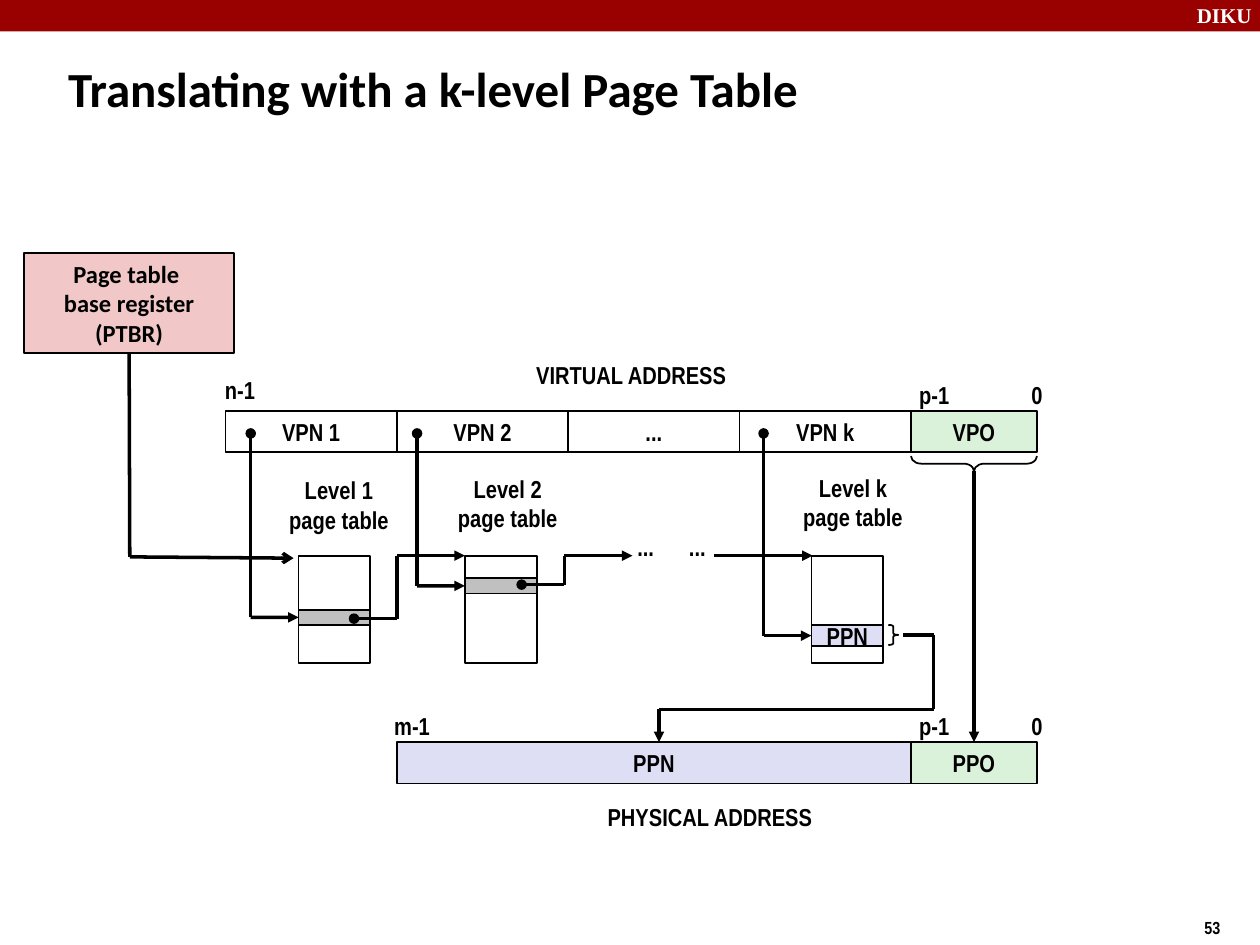
from lxml.etree import SubElement
from pptx import Presentation
from pptx.dml.color import RGBColor
from pptx.enum.shapes import MSO_CONNECTOR, MSO_SHAPE
from pptx.enum.text import MSO_ANCHOR, PP_ALIGN
from pptx.oxml.ns import qn
from pptx.util import Inches, Pt

BLACK = RGBColor(0x00, 0x00, 0x00)
WHITE = RGBColor(0xFF, 0xFF, 0xFF)
RED = RGBColor(0x99, 0x00, 0x00)
PINK = RGBColor(0xF1, 0xC7, 0xC7)
GREEN = RGBColor(0xDB, 0xF2, 0xDA)
LILAC = RGBColor(0xDE, 0xDF, 0xF5)
GRAY = RGBColor(0xC0, 0xC0, 0xC0)

NARROW = {"name": "Arial Narrow", "size": Pt(14), "bold": True}
SMALL = {**NARROW, "size": Pt(10)}
REGISTER = {**NARROW, "name": "Calibri"}
TITLE = {"name": "Calibri", "size": Pt(28), "bold": True}
BRAND = {"name": "Times New Roman", "size": Pt(12), "bold": True}

FIELD_WIDTH, FIELD_HEIGHT, OFFSET_LEFT = 1.36, 0.33, 7.23
VIRTUAL_TOP, PHYSICAL_TOP = 3.26, 5.89
TABLE_TOP, TABLE_WIDTH, TABLE_HEIGHT = 4.41, 0.57, 0.85


def write_text(shape, text, style, color=BLACK, align=PP_ALIGN.CENTER, wrap=False,
               anchor=MSO_ANCHOR.MIDDLE):
    """Fill a shape with text in one style."""
    frame = shape.text_frame
    frame.text = text
    frame.word_wrap = wrap
    frame.vertical_anchor = anchor
    for para in frame.paragraphs:
        para.alignment = align
        for span in para.runs:
            for key, value in style.items():
                setattr(span.font, key, value)
            span.font.color.rgb = color


def add_label(page, area, text, style=NARROW, **options):
    """Add a text box."""
    box = page.shapes.add_textbox(*map(Inches, area))
    write_text(box, text, style, **options)


def add_box(page, area, fill=None, text="", style=NARROW, kind=MSO_SHAPE.RECTANGLE,
            line=BLACK, **options):
    """Add an outlined preset shape, optionally filled and labelled."""
    box = page.shapes.add_shape(kind, *map(Inches, area))
    box.shadow.inherit = False
    if fill is None:
        box.fill.background()
    else:
        box.fill.solid()
        box.fill.fore_color.rgb = fill
    if line is None:
        box.line.fill.background()
    else:
        box.line.color.rgb = line
        box.line.width = Pt(1)
    if text:
        write_text(box, text, style, **options)
    return box


def add_brace(page, area, adjustments, rotation=0):
    """Add a right brace."""
    brace = add_box(page, area, kind=MSO_SHAPE.RIGHT_BRACE)
    brace.rotation = rotation
    for index, value in enumerate(adjustments):
        brace.adjustments[index] = value


def add_route(page, points, head=None, tail=None, source=None, target=None):
    """Draw a chain of straight connectors through the points."""
    legs = list(zip(points, points[1:]))
    for index, (start, end) in enumerate(legs):
        first, last = index == 0, index == len(legs) - 1
        leg = page.shapes.add_connector(MSO_CONNECTOR.STRAIGHT, *map(Inches, start + end))
        leg.line.color.rgb = BLACK
        leg.line.width = Pt(2)
        if first and source:
            leg.begin_connect(*source)
        if last and target:
            leg.end_connect(*target)
        properties = leg.element.spPr
        outline = properties.find(qn("a:ln"))
        if first and head:
            SubElement(outline, qn("a:headEnd"), type=head)
        if last and tail:
            SubElement(outline, qn("a:tailEnd"), type=tail)
        SubElement(properties, qn("a:effectLst"))


def add_header(page):
    """Add the banner, title and page number."""
    add_box(page, (0, 0, 10, 0.25), RED, line=None)
    add_label(page, (9.4, -0.03, 0.67, 0.3), "DIKU", BRAND, color=WHITE,
              align=PP_ALIGN.LEFT, wrap=True, anchor=MSO_ANCHOR.TOP)
    add_label(page, (9.46, 7.23, 0.75, 0.27), "53", SMALL,
              align=PP_ALIGN.LEFT, anchor=MSO_ANCHOR.TOP)
    title = page.shapes.title
    area = {"left": 0.44, "top": 0.27, "width": 9.06, "height": 0.86}
    for key, value in area.items():
        setattr(title, key, Inches(value))
    write_text(title, "Translating with a k-level Page Table", TITLE,
               align=PP_ALIGN.LEFT, wrap=True)


def add_addresses(page):
    """Add the virtual and physical address bars and return the PPO field."""
    for index, name in enumerate(("VPN 1", "VPN 2", "...", "VPN k")):
        left = OFFSET_LEFT - (4 - index) * FIELD_WIDTH
        add_box(page, (left, VIRTUAL_TOP, FIELD_WIDTH, FIELD_HEIGHT), text=name)
    add_box(page, (3.15, PHYSICAL_TOP, 4.08, FIELD_HEIGHT), LILAC, "PPN")
    for top, name in ((VIRTUAL_TOP, "VPO"), (PHYSICAL_TOP, "PPO")):
        field = add_box(page, (OFFSET_LEFT, top, 1, FIELD_HEIGHT), GREEN, name)
        add_label(page, (7.18, top - 0.31, 0.47, 0.36), "p-1")
        add_label(page, (8.08, top - 0.31, 0.3, 0.36), "0")
    add_label(page, (1.67, 2.91, 0.47, 0.36), "n-1")
    add_label(page, (3.01, 5.58, 0.52, 0.36), "m-1")
    add_label(page, (4.05, 2.79, 1.92, 0.36), "VIRTUAL ADDRESS")
    add_label(page, (4.61, 6.3, 2.05, 0.36), "PHYSICAL ADDRESS")
    return field


def add_level(page, name, left, entry_top, entry_height, caption_area, fill, text=""):
    """Add one page table with its entry and the index arrow into it."""
    add_box(page, (left, TABLE_TOP, TABLE_WIDTH, TABLE_HEIGHT))
    entry = add_box(page, (left, entry_top, TABLE_WIDTH, entry_height), fill, text)
    middle = entry_top + entry_height / 2
    index_x = left - 0.38
    add_route(page, [(index_x, 3.44), (index_x, middle), (left, middle)],
              "oval", "triangle", target=(entry, 1))
    add_label(page, (*caption_area, 1.1, 0.63), f"Level {name}\npage table")


def add_next_level(page, start_x, entry_y, turn_x, end_x):
    """Link a page table entry to the next level."""
    add_route(page, [(start_x, entry_y), (turn_x, entry_y), (turn_x, TABLE_TOP),
                     (end_x, TABLE_TOP)], "oval", "triangle")


def main():
    """Build the slide."""
    deck = Presentation()
    deck.slide_width, deck.slide_height = Inches(10), Inches(7.5)
    page = deck.slides.add_slide(deck.slide_layouts[5])
    add_header(page)
    register = add_box(page, (0.19, 2.01, 1.67, 0.79), PINK,
                       "Page table \vbase register\n(PTBR)", REGISTER, wrap=True)
    add_route(page, [(1.03, 2.8), (1.03, 4.42), (2.33, 4.43)],
              tail="arrow", source=(register, 2))
    offset = add_addresses(page)
    add_level(page, "1", 2.37, 4.84, 0.12, (2.14, 3.69), GRAY)
    add_level(page, "2", 3.69, 4.59, 0.12, (3.48, 3.68), GRAY)
    add_level(page, "k", 6.44, 4.96, 0.17, (6.22, 3.67), LILAC, "PPN")
    add_next_level(page, 2.81, 4.91, 3.15, 3.69)
    add_next_level(page, 4.14, 4.64, 4.48, 5.02)
    for left in (4.95, 5.36):
        add_label(page, (left, 4.16, 0.35, 0.36), "...")
    add_route(page, [(5.67, TABLE_TOP), (6.45, TABLE_TOP)], tail="triangle")
    add_route(page, [(7.73, 3.74), (7.73, PHYSICAL_TOP)],
              tail="triangle", target=(offset, 0))
    add_route(page, [(7.17, 5.04), (7.41, 5.04), (7.41, 5.63), (5.23, 5.63),
                     (5.23, PHYSICAL_TOP)], tail="triangle")
    add_brace(page, (7.67, 3.18, 0.12, 1), (0.68, 0.5), 90)
    add_brace(page, (7.05, 4.96, 0.08, 0.16), (0.16, 0.5))
    deck.save("out.pptx")


if __name__ == "__main__":
    main()
